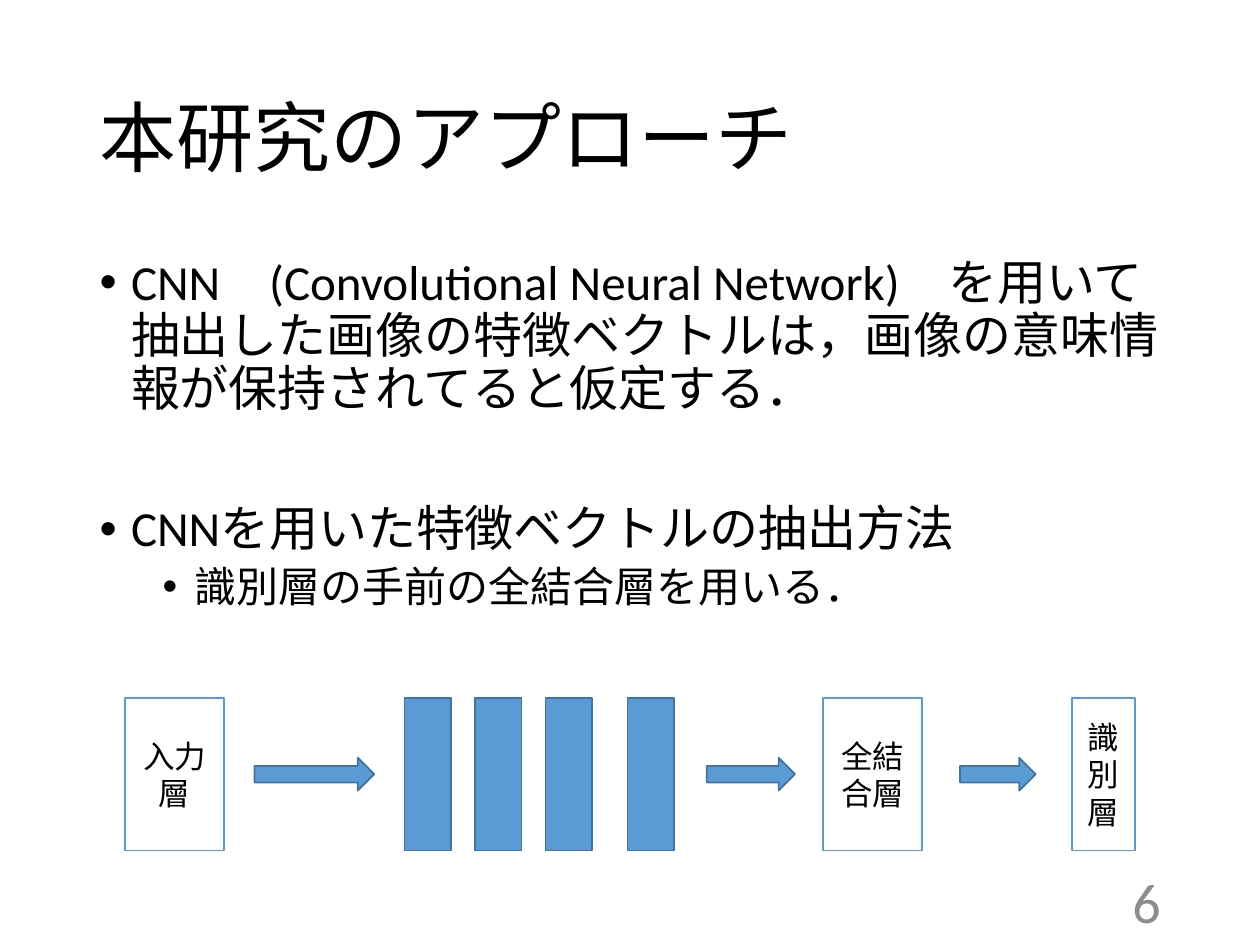
from lxml import etree
from pptx import Presentation
from pptx.dml.color import RGBColor
from pptx.enum import shapes, text
from pptx.oxml.ns import qn
from pptx.util import Inches, Pt

BLACK = RGBColor(0x00, 0x00, 0x00)
WHITE = RGBColor(0xFF, 0xFF, 0xFF)
GRAY = RGBColor(0x8C, 0x8C, 0x8C)
BLUE = RGBColor(0x5B, 0x9B, 0xD5)
DARK_BLUE = RGBColor(0x43, 0x73, 0x9E)
FONT = "Calibri"

TITLE = "本研究のアプローチ"
BULLETS = [
    (0, "CNN　(Convolutional Neural Network)　を用いて抽出した画像の特徴ベクトルは，画像の意味情報が保持されてると仮定する．", 28, 10),
    (0, "CNNを用いた特徴ベクトルの抽出方法", 28, 50),
    (1, "識別層の手前の全結合層を用いる．", 24, 5),
]
PAGE_NUMBER = "6"

LAYER_TOP, LAYER_HEIGHT = 5.54, 1.21
ARROW_HEIGHT = 0.26
CONV_WIDTH = 0.37
LABELED_LAYERS = [("入力層", 0.99, 0.79), ("全結合層", 6.53, 0.79), ("識別層", 8.51, 0.5)]
CONV_LAYERS = [3.21, 3.77, 4.33, 4.98]
ARROWS = [(2.02, 0.95), (5.61, 0.7), (7.62, 0.6)]


def place(shape, left, top, width, height):
    shape.left, shape.top = Inches(left), Inches(top)
    shape.width, shape.height = Inches(width), Inches(height)


def style(para, size, color, align):
    para.font.name = FONT
    para.font.size = Pt(size)
    para.font.color.rgb = color
    para.alignment = align


def add_bullet(para, level):
    props = para._p.get_or_add_pPr()
    props.set("marL", str(Inches(0.25 + 0.5 * level)))
    props.set("indent", str(Inches(-0.25)))
    bullet_font = etree.Element(qn("a:buFont"), typeface="Arial")
    bullet = etree.Element(qn("a:buChar"), char="•")
    props.insert_element_before(bullet_font, "a:tabLst", "a:defRPr", "a:extLst")
    props.insert_element_before(bullet, "a:tabLst", "a:defRPr", "a:extLst")


def add_block(group, kind, left, width, height, fill, line, label=""):
    top = LAYER_TOP + (LAYER_HEIGHT - height) / 2
    block = group.shapes.add_shape(
        kind, Inches(left), Inches(top), Inches(width), Inches(height))
    block.shadow.inherit = False
    block.fill.solid()
    block.fill.fore_color.rgb = fill
    block.line.color.rgb = line
    block.line.width = Pt(1)
    if label:
        frame = block.text_frame
        frame.text = label
        frame.word_wrap = True
        frame.vertical_anchor = text.MSO_ANCHOR.MIDDLE
        style(frame.paragraphs[0], 18, BLACK, text.PP_ALIGN.CENTER)


def main():
    deck = Presentation()
    deck.slide_width, deck.slide_height = Inches(10), Inches(7.5)
    page = deck.slides.add_slide(deck.slide_layouts[1])

    title = page.shapes.title
    place(title, 0.69, 0.4, 8.62, 1.45)
    title.text_frame.text = TITLE
    title.text_frame.auto_size = text.MSO_AUTO_SIZE.NONE
    title.text_frame.vertical_anchor = text.MSO_ANCHOR.MIDDLE
    style(title.text_frame.paragraphs[0], 44, BLACK, text.PP_ALIGN.LEFT)
    title.text_frame.paragraphs[0].line_spacing = 0.9

    body = page.placeholders[1]
    place(body, 0.69, 2, 8.62, 4.76)
    frame = body.text_frame
    frame.text = "\n".join(item[1] for item in BULLETS)
    frame.auto_size = text.MSO_AUTO_SIZE.NONE
    for para, (level, _, size, gap) in zip(frame.paragraphs, BULLETS):
        para.level = level
        para.line_spacing = 0.9
        para.space_before = Pt(gap)
        style(para, size, BLACK, text.PP_ALIGN.LEFT)
        add_bullet(para, level)

    number = page.shapes.add_textbox(
        Inches(7.06), Inches(6.95), Inches(2.25), Inches(0.4))
    number.text_frame.text = PAGE_NUMBER
    number.text_frame.word_wrap = True
    number.text_frame.vertical_anchor = text.MSO_ANCHOR.MIDDLE
    style(number.text_frame.paragraphs[0], 32, GRAY, text.PP_ALIGN.RIGHT)

    network = page.shapes.add_group_shape()
    rectangle = shapes.MSO_SHAPE.RECTANGLE
    for label, left, width in LABELED_LAYERS:
        add_block(network, rectangle, left, width, LAYER_HEIGHT, WHITE, BLUE, label)
    for left in CONV_LAYERS:
        add_block(network, rectangle, left, CONV_WIDTH, LAYER_HEIGHT, BLUE, DARK_BLUE)
    for left, width in ARROWS:
        add_block(network, shapes.MSO_SHAPE.RIGHT_ARROW, left, width,
                  ARROW_HEIGHT, BLUE, DARK_BLUE)

    deck.save("out.pptx")


if __name__ == "__main__":
    main()
